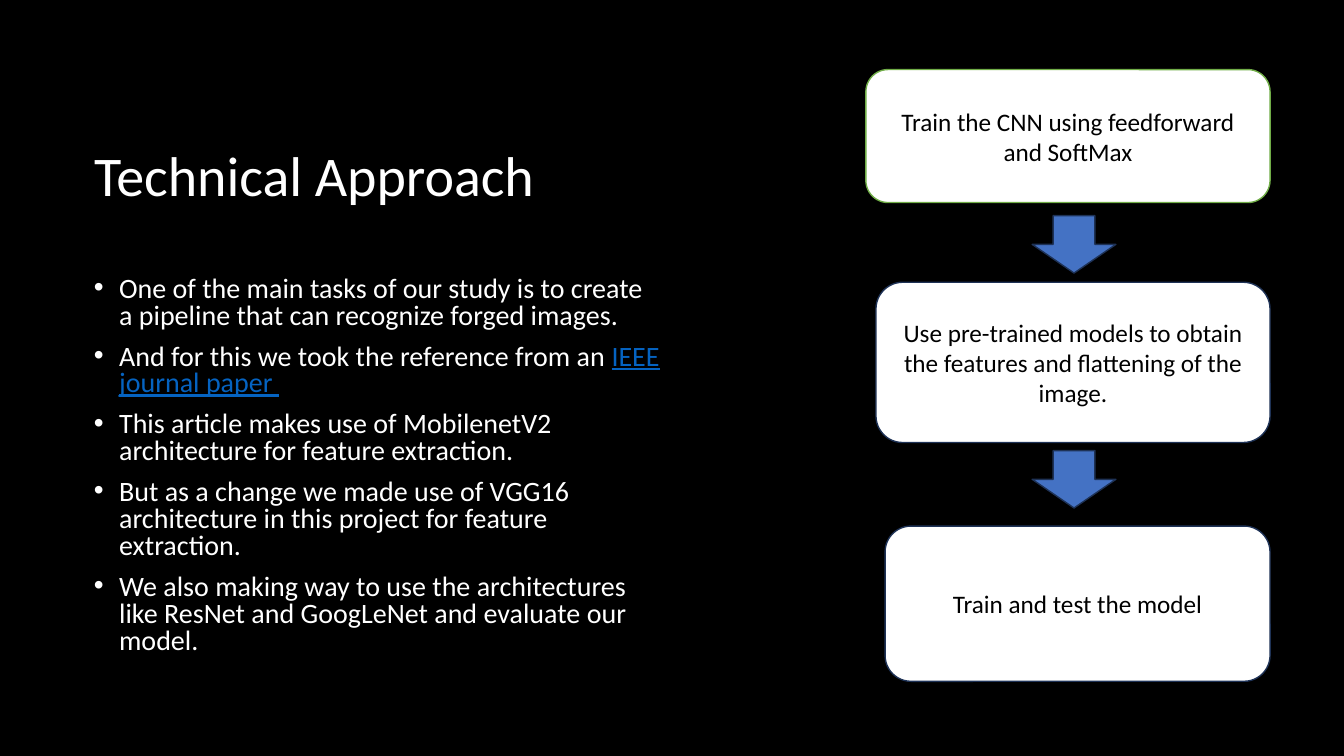
from lxml import etree
from pptx import Presentation
from pptx.dml.color import RGBColor
from pptx.enum.shapes import MSO_SHAPE
from pptx.enum.text import MSO_ANCHOR, PP_ALIGN
from pptx.oxml.ns import qn
from pptx.util import Pt

ROUNDED, DOWN_ARROW = MSO_SHAPE.ROUNDED_RECTANGLE, MSO_SHAPE.DOWN_ARROW
MIDDLE = MSO_ANCHOR.MIDDLE
LEFT, CENTER = PP_ALIGN.LEFT, PP_ALIGN.CENTER

# Content
FONT = "Calibri"
WHITE, BLACK, LINK, BLUE, NAVY, GREEN = (
    "FFFFFF", "000000", "0563C1", "4472C4", "1E3256", "70AD47")
TITLE = "Technical Approach"
# Each bullet is a list of (text, is_link) runs
BULLETS = [
    [("One of the main tasks of our study is to create a pipeline that can "
      "recognize forged images.", False)],
    [("And for this we took the reference from an ", False),
     ("IEEE journal paper ", True)],
    [("This article makes use of MobilenetV2 architecture for feature "
      "extraction.", False)],
    [("But as a change we made use of VGG16 architecture in this project for "
      "feature extraction.", False)],
    [("We also making way to use the architectures like ResNet and GoogLeNet "
      "and evaluate our model.", False)],
]
# text, top, width, height, line colour
STEPS = [
    ("Train the CNN using feedforward and SoftMax", 49.7, 288.7, 95, GREEN),
    ("Use pre-trained models to obtain the features and flattening of the "
     "image.", 201.6, 281.5, 114.5, NAVY),
    ("Train and test the model", 375.8, 275, 110.9, NAVY),
]

# Layout
TEXT_LEFT, TEXT_WIDTH = 60, 420
STEPS_RIGHT = 907.2
ARROW_CENTER, ARROW_WIDTH, ARROW_HEIGHT = 767.2, 59.8, 41
ARROW_TOPS = [154.1, 321.9]


def color(value):
    return RGBColor.from_string(value)


def add_run(paragraph, text, size, text_color):
    run = paragraph.add_run()
    run.text = text
    run.font.name = FONT
    run.font.size = Pt(size)
    run.font.color.rgb = color(text_color)
    return run


def add_block(slide, kind, left, top, width, height, fill, line):
    shape = slide.shapes.add_shape(kind, Pt(left), Pt(top), Pt(width), Pt(height))
    shape.shadow.inherit = False
    shape.fill.solid()
    shape.fill.fore_color.rgb = color(fill)
    shape.line.color.rgb = color(line)
    shape.line.width = Pt(1)
    return shape


def add_bullet(paragraph):
    properties = paragraph._p.get_or_add_pPr()
    properties.set("marL", str(Pt(18)))
    properties.set("indent", str(-Pt(18)))
    etree.SubElement(properties, qn("a:buFont")).set("typeface", "Arial")
    etree.SubElement(properties, qn("a:buChar")).set("char", "•")


presentation = Presentation()
presentation.slide_width, presentation.slide_height = Pt(960), Pt(540)
slide = presentation.slides.add_slide(presentation.slide_layouts[5])
slide.background.fill.solid()
slide.background.fill.fore_color.rgb = color(BLACK)

# Title
title = slide.shapes.title
title.left, title.top = Pt(TEXT_LEFT), Pt(60)
title.width, title.height = Pt(TEXT_WIDTH), Pt(134.4)
title.text_frame.vertical_anchor = MIDDLE
paragraph = title.text_frame.paragraphs[0]
paragraph.alignment = LEFT
paragraph.line_spacing = 0.9
add_run(paragraph, TITLE, 40, WHITE)

# Bullets
body = slide.shapes.add_textbox(Pt(TEXT_LEFT), Pt(194.4), Pt(TEXT_WIDTH), Pt(296.6))
frame = body.text_frame
frame.word_wrap = True
frame.vertical_anchor = MIDDLE
frame.margin_bottom = Pt(23)
for index, runs in enumerate(BULLETS):
    paragraph = frame.add_paragraph() if index else frame.paragraphs[0]
    add_bullet(paragraph)
    paragraph.line_spacing = 0.8
    paragraph.space_before = Pt(10 if index else 0)
    for text, is_link in runs:
        run = add_run(paragraph, text, 20, LINK if is_link else WHITE)
        run.font.underline = is_link

# Steps, aligned on their right edge
for text, top, width, height, line in STEPS:
    step = add_block(slide, ROUNDED, STEPS_RIGHT - width, top, width, height,
                     WHITE, line)
    step.text_frame.word_wrap = True
    step.text_frame.vertical_anchor = MIDDLE
    paragraph = step.text_frame.paragraphs[0]
    paragraph.alignment = CENTER
    add_run(paragraph, text, 18, BLACK)

# Arrows between the steps
for top in ARROW_TOPS:
    add_block(slide, DOWN_ARROW, ARROW_CENTER - ARROW_WIDTH / 2, top,
              ARROW_WIDTH, ARROW_HEIGHT, BLUE, NAVY)

presentation.save("out.pptx")
